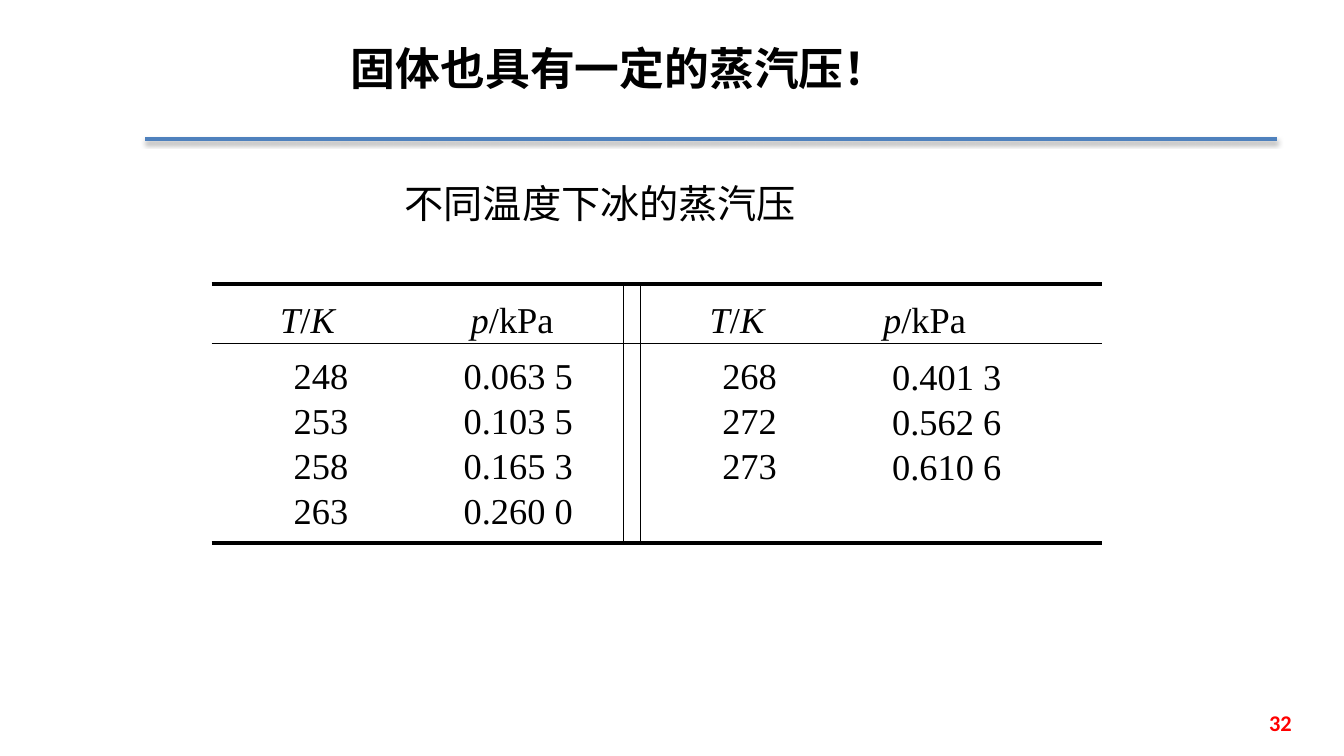
from dataclasses import dataclass
from typing import Optional

from lxml.etree import SubElement
from pptx import Presentation
from pptx.dml.color import RGBColor
from pptx.enum.shapes import MSO_CONNECTOR as Connector
from pptx.enum.text import MSO_ANCHOR as Anchor, PP_ALIGN as Align
from pptx.oxml.ns import qn
from pptx.util import Inches, Pt

SERIF = "Times New Roman"
CHINESE = "Noto Sans CJK SC"
BLACK = "000000"
TABLE_LEFT, TABLE_RIGHT = 2.1, 10.93
TABLE_TOP, HEADER_BOTTOM, TABLE_BOTTOM = 2.82, 3.41, 5.39


@dataclass
class Rule:
    start: tuple[float, float]
    end: tuple[float, float]
    width: float
    color: str = BLACK
    shadow: bool = False


@dataclass
class Column:
    left: float
    top: float
    width: float
    values: list[str]


RULES = [
    Rule((1.44, 1.38), (12.67, 1.38), 3, "4F81BD", shadow=True),
    *(Rule((TABLE_LEFT, y), (TABLE_RIGHT, y), width)
      for y, width in ((TABLE_TOP, 3), (HEADER_BOTTOM, 0.75), (TABLE_BOTTOM, 3))),
    Rule((6.18, TABLE_TOP), (6.18, TABLE_BOTTOM), 0.75),
    Rule((6.35, TABLE_TOP), (6.35, TABLE_BOTTOM), 0.75),
]

COLUMNS = [
    Column(2.1, 3.49, 2.17, ["248", "253", "258", "263"]),
    Column(4.35, 3.49, 1.58, ["0.063 5", "0.103 5", "0.165 3", "0.260 0"]),
    Column(6.77, 3.49, 1.33, ["268", "272", "273"]),
    Column(8.43, 3.5, 1.92, ["0.401 3", "0.562 6", "0.610 6"]),
]

# Header runs as (text, italic); each tab leads to the next column
HEADER = [("T", True), ("/", False), ("K\tp", True), ("/kPa\t", False),
          ("T", True), ("/", False), ("K\tp", True), ("/kPa", False)]
HEADER_TABS = [1.89, 4.26, 5.98]


def rgb(color: str) -> RGBColor:
    return RGBColor.from_string(color)


def add_rule(slide, rule: Rule) -> None:
    line = slide.shapes.add_connector(
        Connector.STRAIGHT, *(Inches(value) for value in rule.start + rule.end))
    line.line.color.rgb = rgb(rule.color)
    line.line.width = Pt(rule.width)
    effects = SubElement(line._element.spPr, qn("a:effectLst"))
    if rule.shadow:
        shadow = SubElement(effects, qn("a:outerShdw"), blurRad=str(Pt(3.1)),
                            dist=str(Pt(1.8)), dir="5400000", rotWithShape="0")
        black = SubElement(shadow, qn("a:srgbClr"), val=BLACK)
        SubElement(black, qn("a:alpha"), val="35000")


def add_text(slide, box: tuple[float, float, float, float],
             lines: list[list[tuple[str, bool]]], *, size: float, font: str = SERIF,
             color: str = BLACK, bold: bool = False, align: Align = Align.LEFT,
             anchor: Anchor = Anchor.TOP, wrap: bool = True,
             line_spacing: Optional[float] = None, space_before: float = 0,
             tabs: Optional[list[float]] = None) -> None:
    shape = slide.shapes.add_textbox(*(Inches(value) for value in box))
    frame = shape.text_frame
    frame.word_wrap = wrap
    frame.vertical_anchor = anchor
    for index, line in enumerate(lines):
        paragraph = frame.paragraphs[0] if index == 0 else frame.add_paragraph()
        paragraph.alignment = align
        if line_spacing:
            paragraph.line_spacing = line_spacing
        if index and space_before:
            paragraph.space_before = Pt(space_before)
        if tabs:
            tab_list = SubElement(paragraph._p.get_or_add_pPr(), qn("a:tabLst"))
            for position in tabs:
                SubElement(tab_list, qn("a:tab"), pos=str(Inches(position)), algn="l")
        for text, italic in line:
            run = paragraph.add_run()
            run.text = text
            run.font.size = Pt(size)
            run.font.name = font
            run.font.bold = bold
            run.font.italic = italic
            run.font.color.rgb = rgb(color)
            SubElement(run.font._element, qn("a:ea"), typeface=CHINESE)


def main() -> None:
    presentation = Presentation()
    presentation.slide_width = Inches(13.33)
    presentation.slide_height = Inches(7.5)
    slide = presentation.slides.add_slide(presentation.slide_layouts[6])

    # Title rule and table rules
    for rule in RULES:
        add_rule(slide, rule)

    # Title, caption and page number
    add_text(slide, (3.38, 0.36, 5.59, 0.64), [[("固体也具有一定的蒸汽压！", False)]],
             size=32, font="Arial", bold=True, wrap=False)
    add_text(slide, (1.94, 1.73, 8.03, 0.57), [[("不同温度下冰的蒸汽压", False)]],
             size=28, font=CHINESE, align=Align.CENTER)
    add_text(slide, (10.58, 6.97, 2.33, 0.4), [[("32", False)]], size=16,
             font="Calibri", color="FF0000", bold=True, align=Align.RIGHT,
             anchor=Anchor.MIDDLE)

    # Table header and columns
    add_text(slide, (2.68, 2.9, 7.92, 0.53), [HEADER], size=26, tabs=HEADER_TABS)
    for column in COLUMNS:
        height = 0.1 + 0.43 * len(column.values)
        add_text(slide, (column.left, column.top, column.width, height),
                 [[(value, False)] for value in column.values], size=26,
                 align=Align.CENTER, line_spacing=0.95, space_before=2.5)

    presentation.save("out.pptx")


if __name__ == "__main__":
    main()
